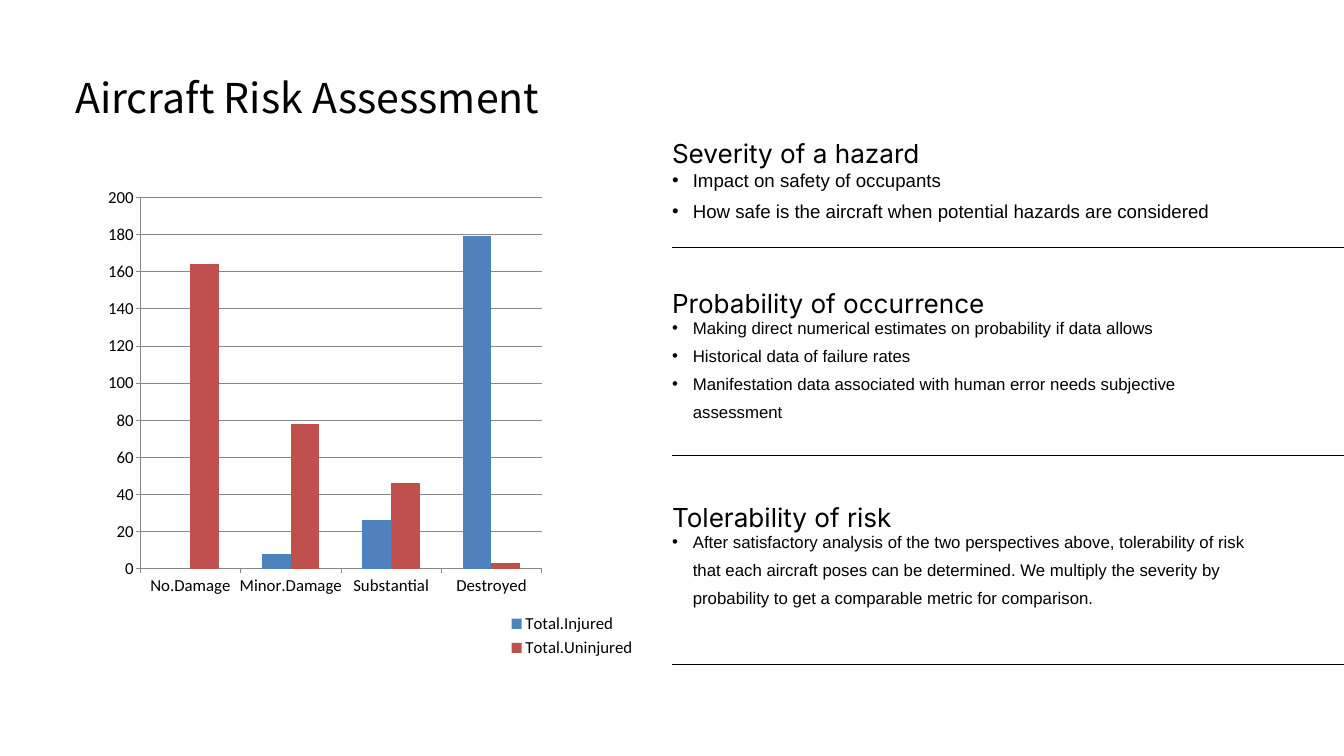
from dataclasses import dataclass

from lxml.etree import SubElement
from pptx import Presentation
from pptx.chart.data import CategoryChartData
from pptx.dml.color import RGBColor
from pptx.enum.chart import XL_CHART_TYPE as ChartType
from pptx.enum.chart import XL_LEGEND_POSITION as LegendPosition
from pptx.enum.chart import XL_TICK_MARK as TickMark
from pptx.enum.shapes import MSO_CONNECTOR as Connector
from pptx.enum.text import MSO_AUTO_SIZE as AutoSize
from pptx.enum.text import PP_ALIGN as Align
from pptx.oxml import parse_xml
from pptx.oxml.ns import nsdecls, qn
from pptx.util import Pt

COLORS = {
    "text": "000000",
    "rule": "000000",
    "axis": "878787",
    "injured": "4F81BD",
    "uninjured": "C0504D",
}
SLIDE_WIDTH, SLIDE_HEIGHT = 1440, 810
COLUMN_LEFT = 720
HEADING_WIDTH, HEADING_HEIGHT = 360.7, 43.9
BODY_OFFSET, BODY_WIDTH = 34.1, 639.4
BULLET_INDENT = 22.3

CATEGORIES = ["No.Damage", "Minor.Damage", "Substantial", "Destroyed"]
PLOT_LAYOUT = (0.217, 0.072, 0.621, 0.714)
LEGEND_LAYOUT = (0.785, 0.865, 0.2, 0.1)


@dataclass
class Section:
    heading: str
    bullets: list[str]
    top: float
    body_height: float
    rule_top: float
    size: int = 18
    level: int = 1


@dataclass
class Series:
    name: str
    values: list[int]
    color: str


SECTIONS = [
    Section(
        "Severity of a hazard",
        [
            "Impact on safety of occupants",
            "How safe is the aircraft when potential hazards are considered",
        ],
        top=136.8, body_height=67.7, rule_top=265, size=20, level=3,
    ),
    Section(
        "Probability of occurrence",
        [
            "Making direct numerical estimates on probability if data allows",
            "Historical data of failure rates",
            "Manifestation data associated with human error needs subjective assessment",
        ],
        top=297.5, body_height=122.4, rule_top=488.3,
    ),
    Section(
        "Tolerability of risk",
        [
            "After satisfactory analysis of the two perspectives above, tolerability of risk "
            "that each aircraft poses can be determined. We multiply the severity by "
            "probability to get a comparable metric for comparison.",
        ],
        top=527, body_height=91.4, rule_top=712,
    ),
]

SERIES = [
    Series("Total.Injured", [0, 8, 26, 179], "injured"),
    Series("Total.Uninjured", [164, 78, 46, 3], "uninjured"),
]


def rgb(name: str) -> RGBColor:
    return RGBColor.from_string(COLORS[name])


def add_bullet(paragraph) -> None:
    properties = paragraph._p.get_or_add_pPr()
    properties.set("marL", str(Pt(BULLET_INDENT)))
    properties.set("indent", str(-Pt(BULLET_INDENT)))
    color = SubElement(properties, qn("a:buClr"))
    SubElement(color, qn("a:srgbClr"), val=COLORS["text"])
    SubElement(properties, qn("a:buFont"), typeface="Arial")
    SubElement(properties, qn("a:buChar"), char="•")


def add_text(shapes, lines: list[str], left: float, top: float, width: float, height: float,
             *, font: str, size: int, spacing: float, align: Align = Align.LEFT,
             level: int = 0, bullets: bool = False) -> None:
    box = shapes.add_textbox(Pt(left), Pt(top), Pt(width), Pt(height))
    frame = box.text_frame
    frame.word_wrap = True
    frame.auto_size = AutoSize.SHAPE_TO_FIT_TEXT
    frame.margin_left = frame.margin_right = frame.margin_top = frame.margin_bottom = 0
    for index, line in enumerate(lines):
        paragraph = frame.add_paragraph() if index else frame.paragraphs[0]
        if bullets:
            add_bullet(paragraph)
        paragraph.level = level
        paragraph.alignment = align
        paragraph.line_spacing = spacing
        run = paragraph.add_run()
        run.text = line
        run.font.name = font
        run.font.size = Pt(size)
        run.font.color.rgb = rgb("text")


def add_rule(shapes, top: float) -> None:
    rule = shapes.add_connector(
        Connector.STRAIGHT, Pt(COLUMN_LEFT), Pt(top), Pt(SLIDE_WIDTH), Pt(top))
    rule.line.color.rgb = rgb("rule")
    rule.line.width = Pt(0.75)
    SubElement(rule._element.spPr, qn("a:effectLst"))


def add_section(shapes, section: Section) -> None:
    group = shapes.add_group_shape()
    add_text(group.shapes, [section.heading], COLUMN_LEFT, section.top,
             HEADING_WIDTH, HEADING_HEIGHT,
             font="Inter", size=28, spacing=1.3, align=Align.JUSTIFY)
    add_text(group.shapes, section.bullets, COLUMN_LEFT, section.top + BODY_OFFSET,
             BODY_WIDTH, section.body_height,
             font="Arial", size=section.size, spacing=1.4, level=section.level, bullets=True)


def manual_layout(box: tuple[float, ...], target: str = ""):
    """Build a chart layout from left, top, width and height as shares of the chart."""
    x, y, width, height = box
    return parse_xml(
        f'<c:layout {nsdecls("c")}><c:manualLayout>{target}'
        '<c:xMode val="edge"/><c:yMode val="edge"/>'
        f'<c:x val="{x}"/><c:y val="{y}"/><c:w val="{width}"/><c:h val="{height}"/>'
        '</c:manualLayout></c:layout>')


def add_damage_chart(shapes) -> None:
    data = CategoryChartData()
    data.categories = CATEGORIES
    for series in SERIES:
        data.add_series(series.name, series.values)
    chart = shapes.add_chart(ChartType.COLUMN_CLUSTERED, Pt(0), Pt(171.4),
                             Pt(692.6), Pt(557.3), data).chart
    chart.has_title = False
    chart.font.name = "Calibri"
    chart.font.size = Pt(18)
    chart.font.color.rgb = rgb("text")

    plot = chart.plots[0]
    plot.gap_width = 150
    plot.overlap = 0
    plot.vary_by_categories = False
    for drawn, series in zip(plot.series, SERIES):
        drawn.format.fill.solid()
        drawn.format.fill.fore_color.rgb = rgb(series.color)

    value_axis = chart.value_axis
    value_axis.minimum_scale, value_axis.maximum_scale, value_axis.major_unit = 0, 200, 20
    value_axis.has_major_gridlines = True
    for axis in (chart.category_axis, value_axis):
        axis.major_tick_mark = TickMark.OUTSIDE
        axis.minor_tick_mark = TickMark.NONE
    for line in (chart.category_axis.format.line, value_axis.format.line,
                 value_axis.major_gridlines.format.line):
        line.color.rgb = rgb("axis")
        line.width = Pt(0.75)

    chart.has_legend = True
    legend = chart.legend
    legend.position = LegendPosition.RIGHT
    legend.include_in_layout = False
    plot_area = chart._chartSpace.chart.plotArea
    for parent, index, layout in (
        (plot_area, 0, manual_layout(PLOT_LAYOUT, '<c:layoutTarget val="inner"/>')),
        (legend._element, 1, manual_layout(LEGEND_LAYOUT)),
    ):
        for existing in parent.findall(qn("c:layout")):
            parent.remove(existing)
        parent.insert(index, layout)


def main() -> None:
    presentation = Presentation()
    presentation.slide_width, presentation.slide_height = Pt(SLIDE_WIDTH), Pt(SLIDE_HEIGHT)
    shapes = presentation.slides.add_slide(presentation.slide_layouts[6]).shapes
    for section in SECTIONS:
        add_rule(shapes, section.rule_top)
    add_text(shapes, ["Aircraft Risk Assessment"], 80.6, 87.8, 563, 42.5,
             font="Noto Sans CJK KR", size=44, spacing=0.8)
    for section in SECTIONS:
        add_section(shapes, section)
    add_damage_chart(shapes)
    presentation.save("out.pptx")


if __name__ == "__main__":
    main()
